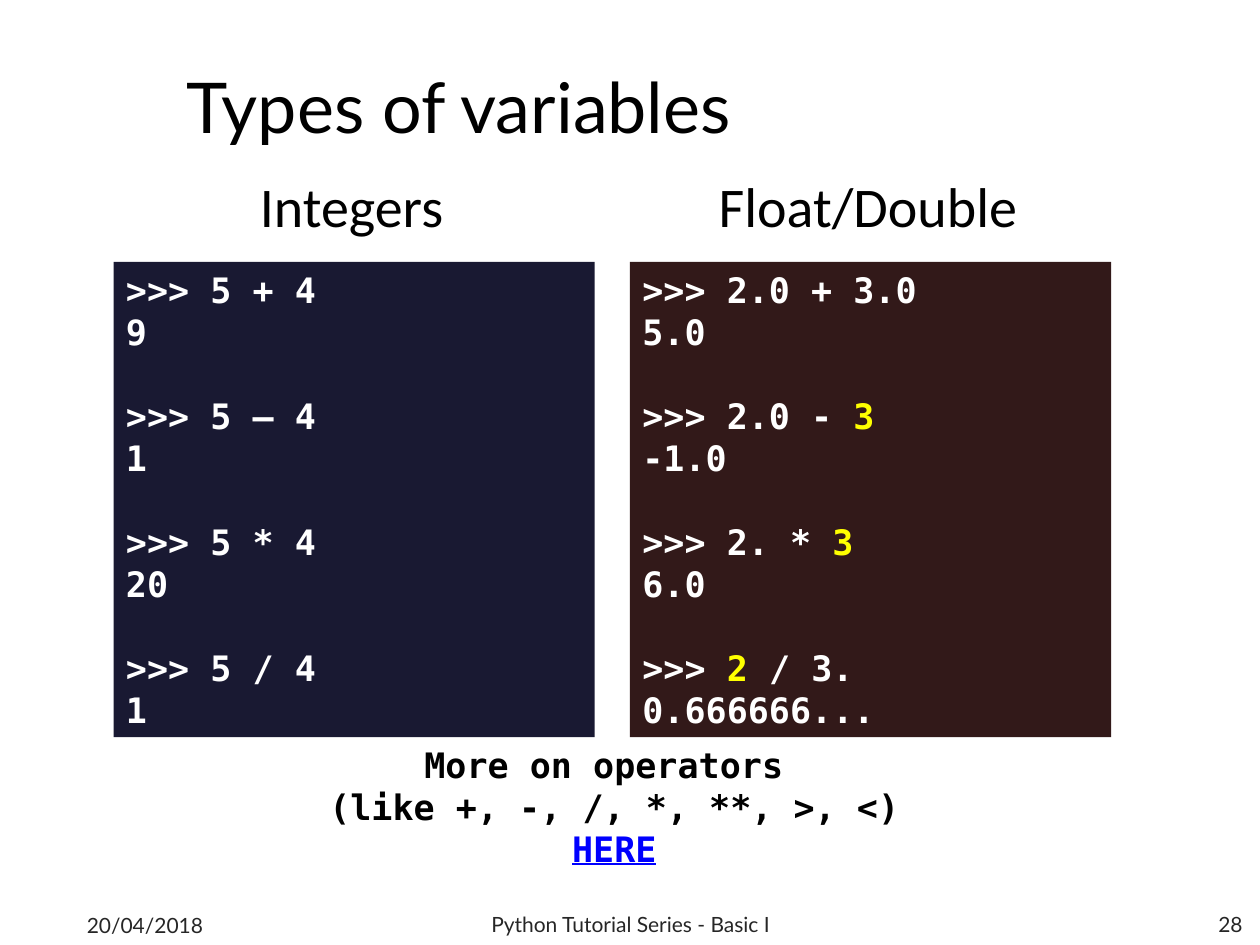
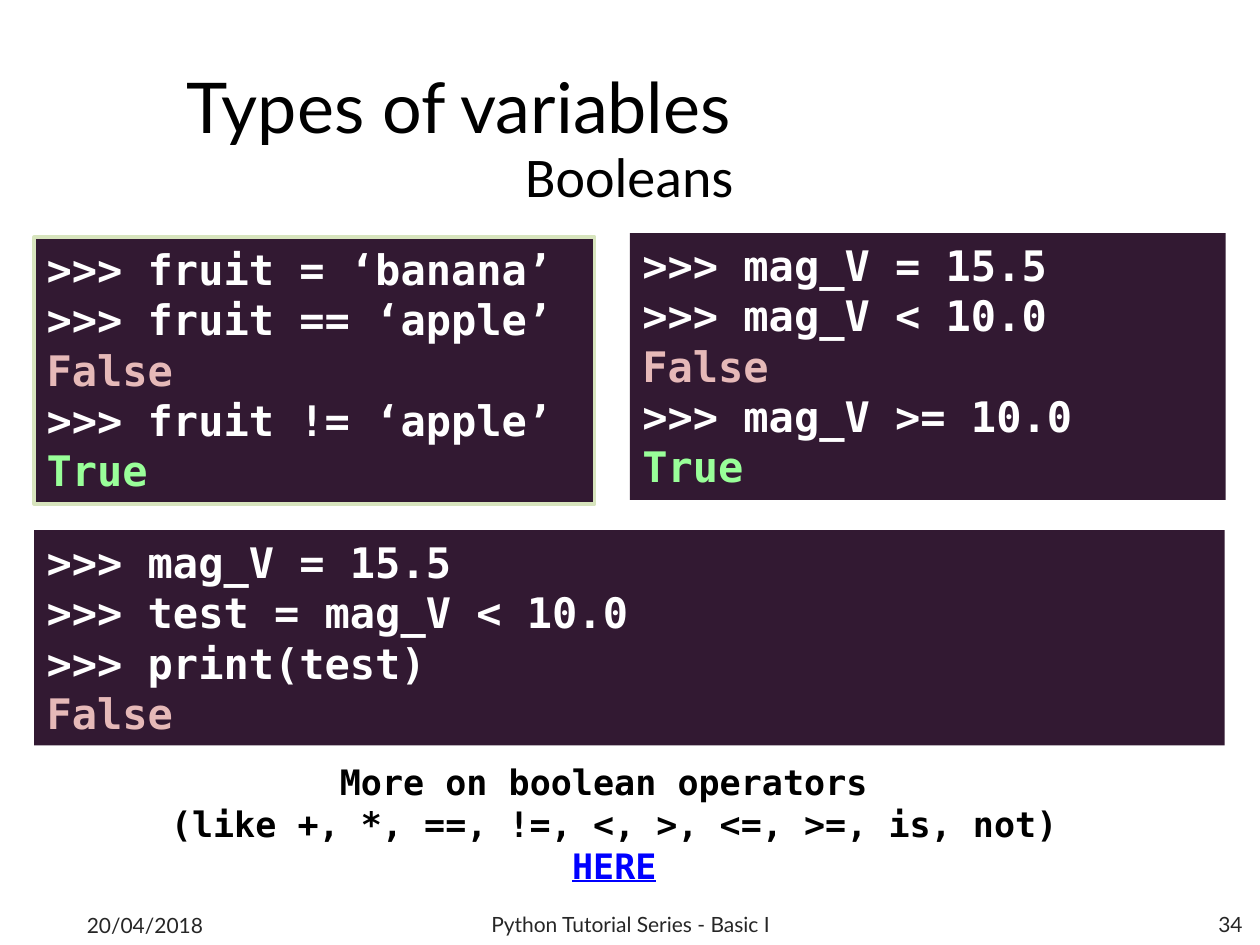
from pptx import Presentation
from pptx.dml.color import RGBColor
from pptx.enum.shapes import MSO_SHAPE
from pptx.enum.text import MSO_ANCHOR, MSO_AUTO_SIZE, PP_ALIGN
from pptx.util import Cm, Pt

COLOURS = {
    "text": "000000", "footer": "262626", "link": "0000FF", "code": "FFFFFF",
    "mixed": "FFFF00", "False": "E6B9B8", "True": "99FF99",
    "integers": "191932", "floats": "321919", "booleans": "321932",
    "outline": "D7E4BD",
}
TITLE_FONT, HEADING_FONT, CODE_FONT = "Lato", "Calibri", "DejaVu Sans Mono"
LEFT, CENTRE, RIGHT = PP_ALIGN.LEFT, PP_ALIGN.CENTER, PP_ALIGN.RIGHT

# Content: boxes are (left, top, width, height) in centimetres.
# Code is a list of groups of lines; a line is a string or a list of
# strings and (string, colour) pairs.
TITLE = "Types of variables"
TITLE_BOX = (3.51, 1.12, 20.62, 2.01)
DATE = "20/04/2018"
SERIES = "Python Tutorial Series - Basic I"

INTEGER_CODE = [
    [">>> 5 + 4", "9"],
    [">>> 5 – 4", "1"],
    [">>> 5 * 4", "20"],
    [">>> 5 / 4", "1"],
]
FLOAT_CODE = [
    [">>> 2.0 + 3.0", "5.0"],
    [[">>> 2.0 - ", ("3", "mixed")], "-1.0"],
    [[">>> 2. * ", ("3", "mixed")], "6.0"],
    [[">>> ", ("2", "mixed"), " / 3."], "0.666666..."],
]
FRUIT_CODE = [[">>> fruit = ‘banana’", ">>> fruit == ‘apple’", "False",
               ">>> fruit != ‘apple’", "True"]]
MAGNITUDE_CODE = [[">>> mag_V = 15.5", ">>> mag_V < 10.0", "False",
                   ">>> mag_V >= 10.0", "True"]]
TEST_CODE = [[">>> mag_V = 15.5", ">>> test = mag_V < 10.0",
              ">>> print(test)", "False"]]

SLIDES = [
    {
        "number": "28",
        "headings": [("Integers", (2.29, 3.33, 9.6, 2.01)),
                     ("Float/Double", (12.7, 3.33, 9.6, 2.01))],
        "code_size": 20,
        "panels": [(INTEGER_CODE, (2.29, 5.28, 9.7, 9.58), "integers", None),
                   (FLOAT_CODE, (12.7, 5.28, 9.7, 9.58), "floats", None)],
        "more": ["More on operators ", "(like +, -, /, *, **, >, <)"],
        "more_top": 14.86,
    },
    {
        "number": "34",
        "headings": [("Booleans", (0.69, 2.72, 24, 2.01))],
        "code_size": 24,
        "panels": [(FRUIT_CODE, (0.69, 4.78, 11.3, 5.38), "booleans", "outline"),
                   (MAGNITUDE_CODE, (12.7, 4.7, 12.01, 5.38), "booleans", None),
                   (TEST_CODE, (0.69, 10.69, 24, 4.34), "booleans", None)],
        "more": ["More on boolean operators ",
                 "(like +, *, ==, !=, <, >, <=, >=, is, not)"],
        "more_top": 15.21,
    },
]


def rgb(key):
    return RGBColor.from_string(COLOURS[key])


def place(box):
    return [Cm(length) for length in box]


def style(run, font, size, colour, bold=False):
    run.font.name = font
    run.font.size = Pt(size)
    run.font.bold = bold
    run.font.color.rgb = rgb(colour)


def add_text(slide, lines, box, font, size, colour="text", align=CENTRE,
             anchor=MSO_ANCHOR.TOP, bold=False):
    frame = slide.shapes.add_textbox(*place(box)).text_frame
    frame.word_wrap = True
    frame.vertical_anchor = anchor
    frame.text = "\n".join(lines)
    for paragraph in frame.paragraphs:
        paragraph.alignment = align
        for run in paragraph.runs:
            style(run, font, size, colour, bold)
    return frame


def add_title(slide):
    title = slide.shapes.title
    title.left, title.top, title.width, title.height = place(TITLE_BOX)
    frame = title.text_frame
    frame.text = TITLE
    frame.auto_size = MSO_AUTO_SIZE.NONE
    frame.vertical_anchor = MSO_ANCHOR.MIDDLE
    frame.paragraphs[0].alignment = LEFT
    style(frame.paragraphs[0].runs[0], TITLE_FONT, 40, "text")


def add_footers(slide, number):
    for text, box, align in [(DATE, (1.5, 18.14, 5.92, 1.02), LEFT),
                             (SERIES, (8.69, 18.11, 8.05, 1.02), CENTRE),
                             (number, (19.38, 18.11, 5.92, 1.02), RIGHT)]:
        add_text(slide, [text], box, TITLE_FONT, 12, "footer", align,
                 MSO_ANCHOR.MIDDLE)


def add_panel(slide, groups, box, fill, outline, size):
    panel = slide.shapes.add_shape(MSO_SHAPE.RECTANGLE, *place(box))
    panel.shadow.inherit = False
    panel.fill.solid()
    panel.fill.fore_color.rgb = rgb(fill)
    if outline:
        panel.line.color.rgb = rgb(outline)
        panel.line.width = Pt(2)
    else:
        panel.line.fill.background()

    frame = panel.text_frame
    frame.word_wrap = True
    frame.auto_size = MSO_AUTO_SIZE.SHAPE_TO_FIT_TEXT
    frame.vertical_anchor = MSO_ANCHOR.TOP
    numbered = [(g, i, line) for g, group in enumerate(groups)
                for i, line in enumerate(group)]
    for g, i, line in numbered:
        starts_panel = g == i == 0
        paragraph = frame.paragraphs[0] if starts_panel else frame.add_paragraph()
        paragraph.alignment = LEFT
        if g and i == 0:
            paragraph.space_before = Pt(size * 1.2)  # one line between groups
        for part in [line] if isinstance(line, str) else line:
            default = part if part in ("True", "False") else "code"
            text, colour = (part, default) if isinstance(part, str) else part
            run = paragraph.add_run()
            run.text = text
            style(run, CODE_FONT, size, colour, bold=True)


def add_more(slide, lines, top):
    frame = add_text(slide, lines + ["HERE"], (2.29, top, 20.19, 2.82),
                     CODE_FONT, 20, bold=True)
    link = frame.paragraphs[-1].runs[0]
    link.font.color.rgb = rgb("link")
    link.font.underline = True


def main():
    deck = Presentation()
    deck.slide_width, deck.slide_height = Cm(25.4), Cm(19.05)
    for content in SLIDES:
        slide = deck.slides.add_slide(deck.slide_layouts[5])
        add_title(slide)
        add_footers(slide, content["number"])
        for heading, box in content["headings"]:
            add_text(slide, [heading], box, HEADING_FONT, 32)
        for groups, box, fill, outline in content["panels"]:
            add_panel(slide, groups, box, fill, outline, content["code_size"])
        add_more(slide, content["more"], content["more_top"])
    deck.save("out.pptx")


if __name__ == "__main__":
    main()
